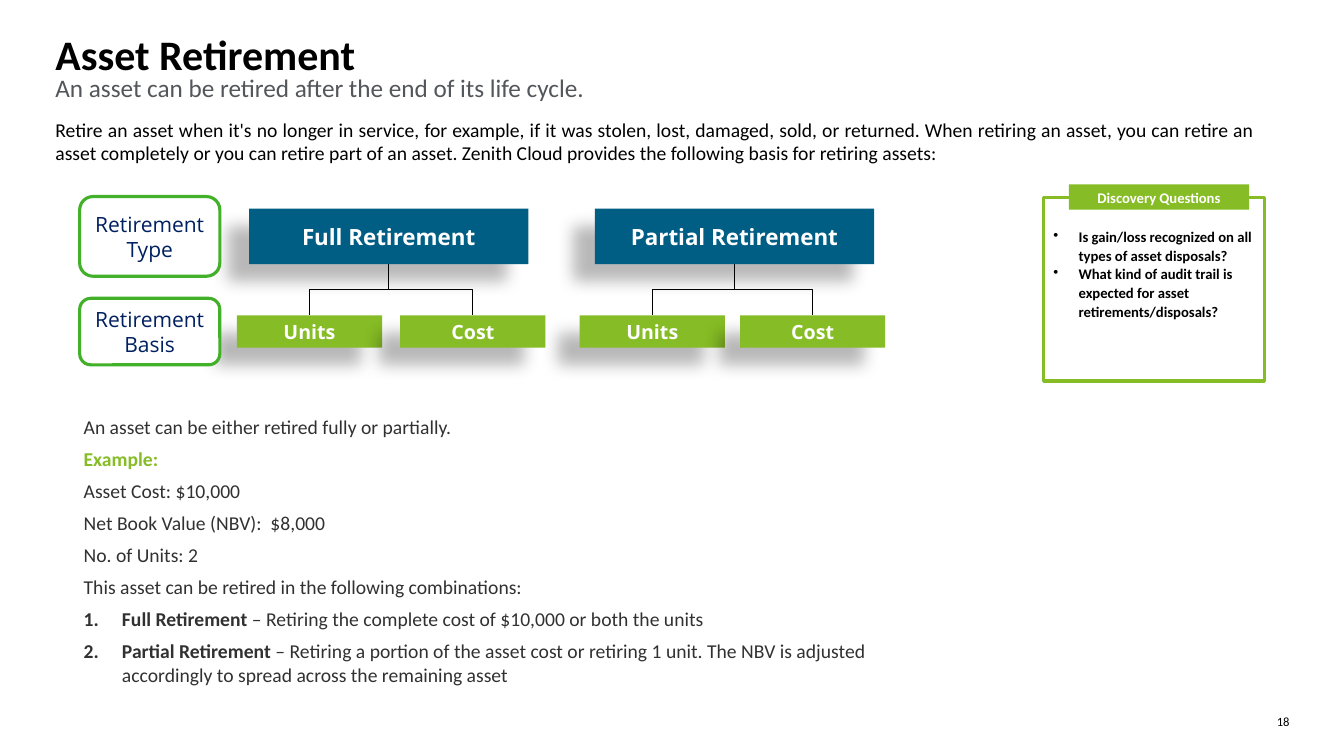
import pptx
import pptx.util
import pptx.dml.color
import pptx.enum.shapes
import pptx.enum.text
import pptx.oxml
import pptx.oxml.ns

Inches, Pt = pptx.util.Inches, pptx.util.Pt
SHAPE = pptx.enum.shapes.MSO_SHAPE
ALIGN = pptx.enum.text.PP_ALIGN
ANCHOR = pptx.enum.text.MSO_ANCHOR
GREEN, BLUE, DARK = "86BC25", "005D84", "313131"
NUMBER = '<a:buAutoNum %s type="arabicPeriod"/>'
DOT = '<a:buChar %s char="•"/>'
SHADOW = ('<a:effectLst %s><a:outerShdw blurRad="150000" dist="250000" dir="8460000" '
          'algn="ctr" rotWithShape="0"><a:srgbClr val="000000"><a:alpha val="28000"/>'
          '</a:srgbClr></a:outerShdw></a:effectLst>')


def color(code):
    return pptx.dml.color.RGBColor.from_string(code)


def element(xml):
    return pptx.oxml.parse_xml(xml % pptx.oxml.ns.nsdecls("a"))


def write(shape, paras, size=14, ink="000000", font="Calibri", bold=False, align=ALIGN.LEFT,
          anchor=ANCHOR.TOP, inset=(0, 0, 0, 0), gap=0, lead=None, mark=None, indent=0):
    """Fill a shape; a paragraph is a string or a dict of runs and its own format."""
    frame = shape.text_frame
    frame.word_wrap = True
    frame.vertical_anchor = anchor
    (frame.margin_left, frame.margin_top,
     frame.margin_right, frame.margin_bottom) = map(Inches, inset)
    for i, item in enumerate(paras):
        if isinstance(item, str):
            item = {"runs": [(item, bold)]}
        para = frame.paragraphs[0] if i == 0 else frame.add_paragraph()
        para.alignment = align
        if i and gap:
            para.space_before = Pt(gap)
        if lead:
            para.line_spacing = lead
        bullet = item.get("mark", mark)
        if bullet:
            props = para._p.get_or_add_pPr()
            hang = Inches(item.get("indent", indent))
            props.set("marL", str(hang))
            props.set("indent", str(-hang))
            props.append(element(bullet))
        for words, heavy in item["runs"]:
            run = para.add_run()
            run.text = words
            run.font.name, run.font.size, run.font.bold = font, Pt(size), heavy
            run.font.color.rgb = color(item.get("ink", ink))


def label(slide, box, paras, **form):
    write(slide.shapes.add_textbox(*map(Inches, box)), paras, **form)


def block(slide, box, paras, kind=SHAPE.RECTANGLE, fill=None, line=None, shade=False, **form):
    shape = slide.shapes.add_shape(kind, *map(Inches, box))
    shape.shadow.inherit = False
    if shade:
        props = shape._element.spPr
        props.remove(props.find(pptx.oxml.ns.qn("a:effectLst")))
    if fill:
        shape.fill.solid()
        shape.fill.fore_color.rgb = color(fill)
    else:
        shape.fill.background()
    if line:
        shape.line.color.rgb = color(line)
        shape.line.width = Pt(2.25)
    else:
        shape.line.fill.background()
    if shade:
        props.append(element(SHADOW))
    write(shape, paras, **form)


def elbow(slide, x, y, end, drop):
    """Draw a bent line that leaves (x, y) downwards and ends at x = end."""
    span = abs(end - x)
    left = (x + end - drop) / 2
    top = y + (drop - span) / 2
    near, far = (left, left + drop) if end < x else (left + drop, left)
    link = slide.shapes.add_connector(pptx.enum.shapes.MSO_CONNECTOR.ELBOW,
                                      *map(Inches, (near, top, far, top + span)))
    link.line.color.rgb = color("000000")
    link.line.width = Pt(0.75)
    props = link._element.spPr
    props.append(element("<a:effectLst %s/>"))
    props.find(pptx.oxml.ns.qn("a:xfrm")).set("rot", "5400000" if end < x else "16200000")


def header(slide, left, top, width):
    label(slide, (left, top, width, 0.37), ["Asset Retirement"], size=30, bold=True,
          anchor=ANCHOR.MIDDLE)
    label(slide, (left, top + 0.37, width, 0.47),
          ["An asset can be retired after the end of its life cycle."], size=18, ink="53565A")
    label(slide, (left, top + 0.77, 11.9, 0.57), [
        "Retire an asset when it's no longer in service, for example, if it was stolen, lost, "
        "damaged, sold, or returned. When retiring an asset, you can retire an asset completely "
        "or you can retire part of an asset. Zenith Cloud provides the following basis for "
        "retiring assets:"], align=ALIGN.JUSTIFY, inset=(0, 0.05, 0, 0.05))


def branch(slide, left, top, name, kids):
    """Place one retirement type over its bases, given as (name, left) pairs."""
    wide, high, drop, kid = 2.77, 0.55, 0.51, 1.44
    form = dict(font="Open Sans", bold=True, ink="FFFFFF", align=ALIGN.CENTER,
                anchor=ANCHOR.MIDDLE, shade=True)
    block(slide, (left, top, wide, high), [name], fill=BLUE, size=16, **form)
    for word, start in kids:
        block(slide, (left + start, top + high + drop, kid, 0.32), [word],
              fill=GREEN, size=14, **form)
    for word, start in kids:
        elbow(slide, left + wide / 2, top + high, left + start + kid / 2, drop)


def tree(slide, left, top):
    branch(slide, left + 1.68, top + 0.12, "Full Retirement", [("Units", -0.12), ("Cost", 1.5)])
    branch(slide, left + 5.11, top + 0.12, "Partial Retirement",
           [("Units", -0.15), ("Cost", 1.44)])
    for word, start, high in (("Type", 0, 0.79), ("Basis", 1.01, 0.66)):
        block(slide, (left, top + start, 1.39, high), ["Retirement", word],
              kind=SHAPE.ROUNDED_RECTANGLE, fill="FFFFFF", line="43B02A", size=15,
              ink="002060", font="Open Sans", align=ALIGN.CENTER, anchor=ANCHOR.MIDDLE)


def panel(slide, left, top, width, height):
    form = dict(size=10.5, bold=True, lead=1.06)
    block(slide, (left, top, width, height), [
        "Is gain/loss recognized on all types of asset disposals?",
        "What kind of audit trail is expected for asset retirements/disposals?"],
        line=GREEN, mark=DOT, indent=0.25, inset=(0.1, 0.29, 0.1, 0.1), **form)
    block(slide, (left + 0.25, top - 0.13, 1.79, 0.25), ["Discovery Questions"], fill=GREEN,
          ink="FFFFFF", align=ALIGN.CENTER, anchor=ANCHOR.MIDDLE, **form)


def example(slide, *box):
    cases = [
        ("Full Retirement", " – Retiring the complete cost of $10,000 or both the units"),
        ("Partial Retirement", " – Retiring a portion of the asset cost or retiring 1 unit. The "
         "NBV is adjusted accordingly to spread across the remaining asset")]
    label(slide, box, [
        "An asset can be either retired fully or partially.",
        {"runs": [("Example:", True)], "ink": GREEN},
        "Asset Cost: $10,000",
        "Net Book Value (NBV):  $8,000",
        "No. of Units: 2",
        "This asset can be retired in the following combinations:",
        *({"runs": [(name, True), (rest, False)], "mark": NUMBER, "indent": 0.38}
          for name, rest in cases)], ink=DARK, gap=6)


def main():
    deck = pptx.Presentation()
    deck.slide_width, deck.slide_height = Inches(13.33), Inches(7.5)
    slide = deck.slides.add_slide(deck.slide_layouts[6])
    header(slide, 0.55, 0.35, 12.24)
    example(slide, 0.83, 4.12, 8.01, 2.71)
    panel(slide, 10.35, 1.96, 2.19, 1.82)
    tree(slide, 0.79, 1.95)
    label(slide, (12.45, 7.08, 0.34, 0.15), ["18"], size=9, align=ALIGN.RIGHT)
    deck.save("out.pptx")


if __name__ == "__main__":
    main()
